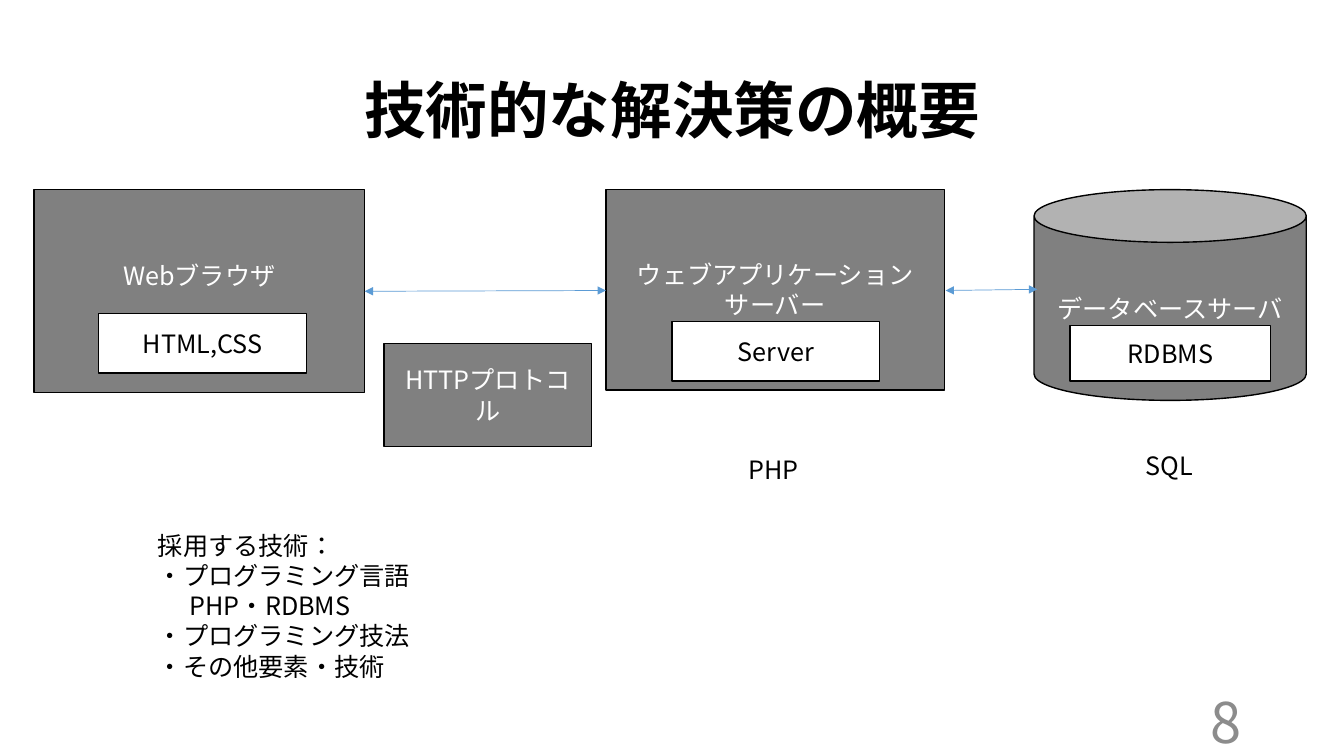
"""Build the slide that outlines the technical solution."""
from dataclasses import dataclass

import lxml.etree
import pptx
import pptx.dml.color
import pptx.enum.lang
import pptx.enum.shapes
import pptx.enum.text
import pptx.oxml.ns
import pptx.util

Cm = pptx.util.Cm
Pt = pptx.util.Pt
Shape = pptx.enum.shapes.MSO_SHAPE
Align = pptx.enum.text.PP_ALIGN
Anchor = pptx.enum.text.MSO_ANCHOR
qn = pptx.oxml.ns.qn


@dataclass(frozen=True)
class Theme:
    font: str = "Noto Sans CJK JP"
    ink: str = "000000"
    paper: str = "FFFFFF"
    block: str = "808080"
    arrow: str = "5B9BD5"
    muted: str = "8C8C8C"
    title_size: int = 44
    number_size: int = 40
    body_size: int = 18
    outline: float = 1
    arrow_width: float = 0.5


THEME = Theme()


@dataclass(frozen=True)
class Block:
    text: str
    left: float
    top: float
    width: float
    height: float
    fill: str = THEME.block
    color: str = THEME.paper
    kind: Shape = Shape.RECTANGLE
    bottom_inset: float = 0.13


@dataclass(frozen=True)
class Label:
    text: str
    left: float
    top: float
    width: float
    height: float
    size: int = THEME.body_size
    color: str = THEME.ink
    bold: bool = False
    align: Align = Align.LEFT
    anchor: Anchor = Anchor.TOP
    wrap: bool = True
    line_spacing: float = 1.0


@dataclass(frozen=True)
class Arrow:
    left: float
    top: float
    right: float
    bottom: float


def rgb(value: str) -> pptx.dml.color.RGBColor:
    return pptx.dml.color.RGBColor.from_string(value)


def write(frame, text: str, size: int, color: str, align: Align, bold: bool = False) -> None:
    frame.text = text
    for paragraph in frame.paragraphs:
        paragraph.alignment = align
        for span in paragraph.runs:
            font = span.font
            font.name, font.size, font.bold = THEME.font, Pt(size), bold
            font.color.rgb = rgb(color)
            font.language_id = pptx.enum.lang.MSO_LANGUAGE_ID.JAPANESE
            properties = span._r.get_or_add_rPr()
            lxml.etree.SubElement(properties, qn("a:ea"), typeface=THEME.font)


def draw_block(page, block: Block) -> None:
    box = page.shapes.add_shape(
        block.kind, Cm(block.left), Cm(block.top), Cm(block.width), Cm(block.height))
    box.shadow.inherit = False
    box.fill.solid()
    box.fill.fore_color.rgb = rgb(block.fill)
    box.line.color.rgb = rgb(THEME.ink)
    box.line.width = Pt(THEME.outline)
    frame = box.text_frame
    frame.word_wrap = True
    frame.vertical_anchor = Anchor.MIDDLE
    frame.margin_bottom = Cm(block.bottom_inset)
    write(frame, block.text, THEME.body_size, block.color, Align.CENTER)


def draw_label(page, label: Label):
    box = page.shapes.add_textbox(
        Cm(label.left), Cm(label.top), Cm(label.width), Cm(label.height))
    frame = box.text_frame
    frame.word_wrap = label.wrap
    frame.vertical_anchor = label.anchor
    write(frame, label.text, label.size, label.color, label.align, label.bold)
    for paragraph in frame.paragraphs:
        paragraph.line_spacing = label.line_spacing
    return box


def draw_arrow(page, arrow: Arrow) -> None:
    line = page.shapes.add_connector(
        pptx.enum.shapes.MSO_CONNECTOR.STRAIGHT,
        Cm(arrow.left), Cm(arrow.top), Cm(arrow.right), Cm(arrow.bottom))
    line.line.color.rgb = rgb(THEME.arrow)
    line.line.width = Pt(THEME.arrow_width)
    outline = line.line._get_or_add_ln()
    for end in ("a:headEnd", "a:tailEnd"):
        lxml.etree.SubElement(outline, qn(end), type="triangle")
    lxml.etree.SubElement(line._element.spPr, qn("a:effectLst"))


def product(text: str, left: float, top: float, width: float = 5.23, height: float = 1.5) -> Block:
    return Block(text, left, top, width, height, THEME.paper, THEME.ink)


TITLE = Label("技術的な解決策の概要", 2.34, 1.02, 29.21, 3.68, THEME.title_size, bold=True,
              align=Align.CENTER, anchor=Anchor.MIDDLE, line_spacing=0.9)
TECHNOLOGIES = Label(
    "採用する技術:\n・プログラミング言語\nPHP・RDBMS\n・プログラミング技法\n・その他要素・技術".replace(":", "："),
    3.73, 13.23, 16.94, 4.11)
LANGUAGE_LINE = 2
LANGUAGES = (
    Label("SQL", 28.63, 11.23, 1.75, 1.02, wrap=False),
    Label("PHP", 18.62, 11.33, 1.83, 1.02, wrap=False),
)
PAGE_NUMBER = Label("8", 23.93, 17.65, 7.62, 1.02, THEME.number_size, THEME.muted,
                    align=Align.RIGHT, anchor=Anchor.MIDDLE)
ROW_TOP = 4.78
BLOCKS = (
    Block("Webブラウザ", 0.86, ROW_TOP, 8.33, 5.11, bottom_inset=0.9),
    product("HTML,CSS", 2.49, 7.9),
    Block("ウェブアプリケーションサーバー", 15.27, ROW_TOP, 8.53, 5.05),
    product("Server", 16.94, 8.1),
    Block("データベースサーバ", 26.06, ROW_TOP, 6.86, 5.31, kind=Shape.CAN),
    Block("HTTPプロトコル", 9.68, 8.66, 5.23, 2.59),
    product("RDBMS", 26.97, 8.2, 5.05, 1.4),
)
ARROWS = (Arrow(9.19, 7.34, 15.27, 7.32), Arrow(23.83, 7.32, 26.14, 7.29))


def main() -> None:
    deck = pptx.Presentation()
    deck.slide_width, deck.slide_height = Cm(33.87), Cm(19.05)
    page = deck.slides.add_slide(deck.slide_layouts[6])
    draw_label(page, TITLE)
    technologies = draw_label(page, TECHNOLOGIES)
    indented = technologies.text_frame.paragraphs[LANGUAGE_LINE]
    indented._p.get_or_add_pPr().set("marL", str(Cm(0.8)))
    for block in BLOCKS:
        draw_block(page, block)
    for arrow in ARROWS:
        draw_arrow(page, arrow)
    for label in (*LANGUAGES, PAGE_NUMBER):
        draw_label(page, label)
    deck.save("out.pptx")


main()
